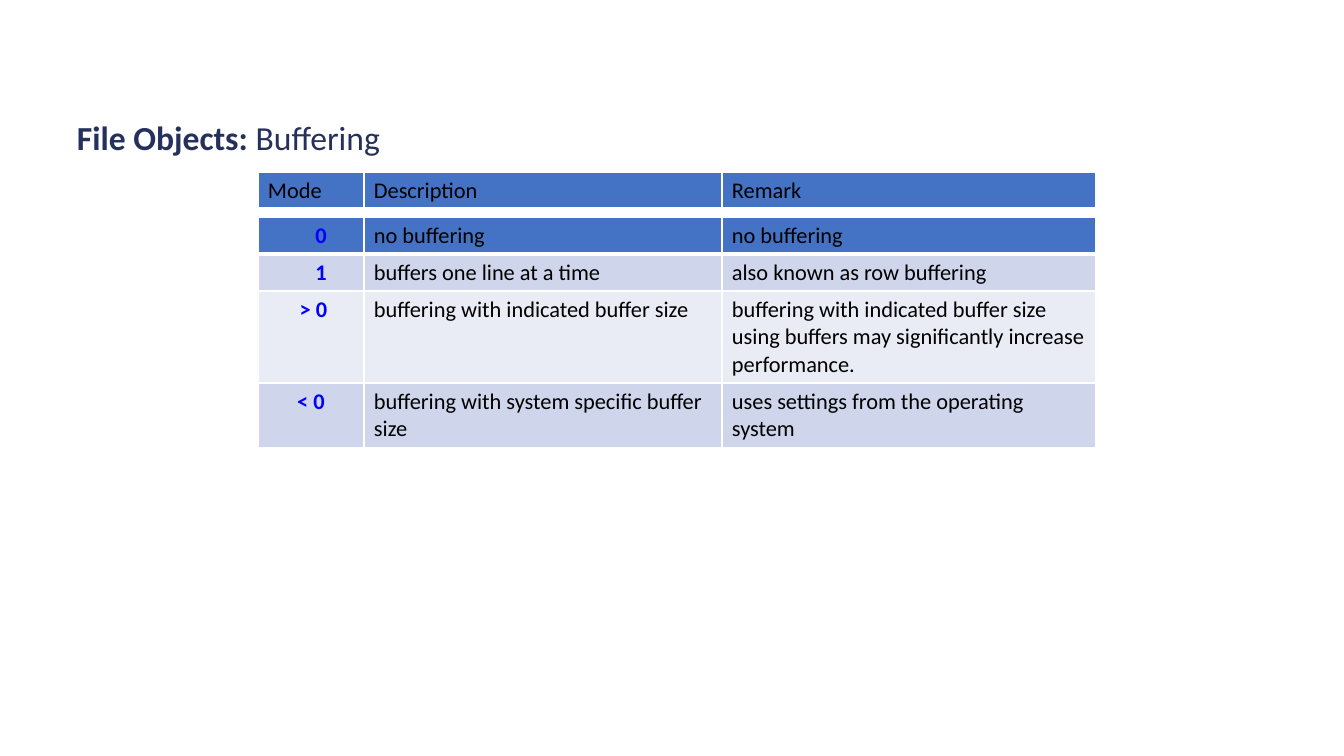
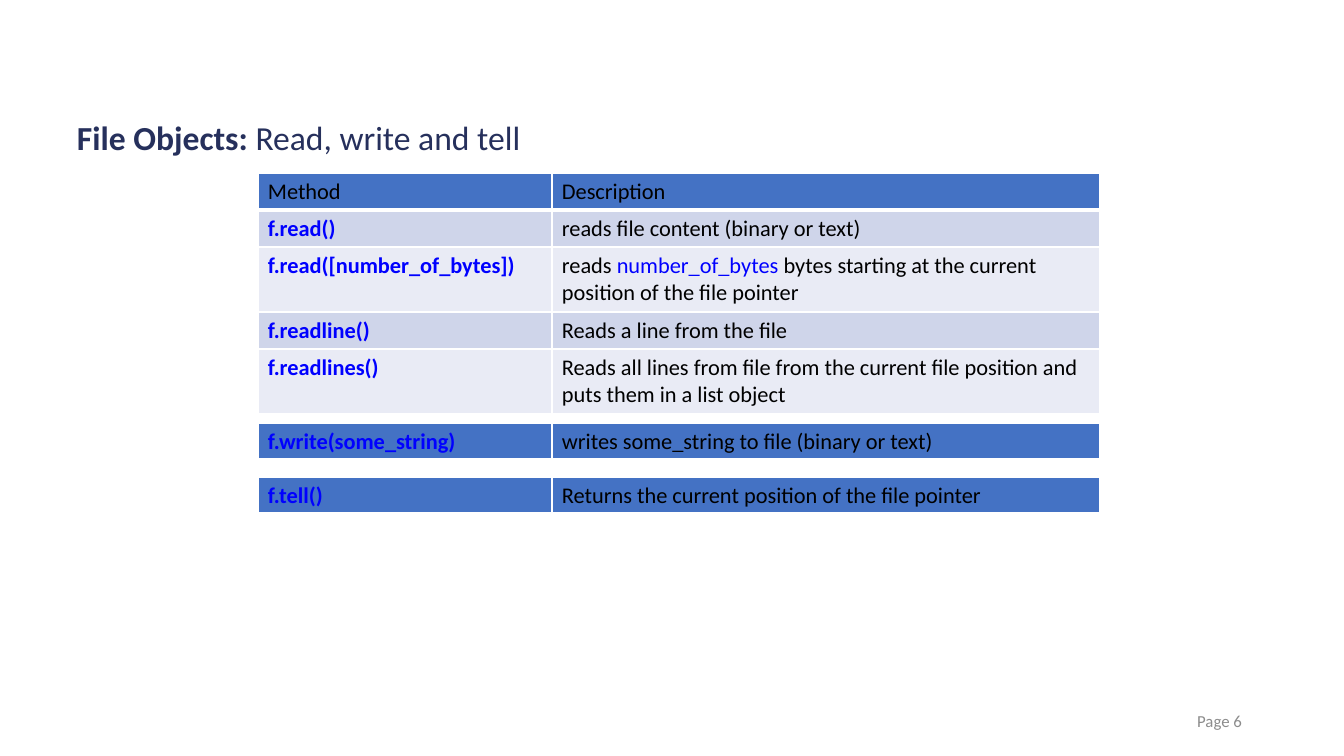
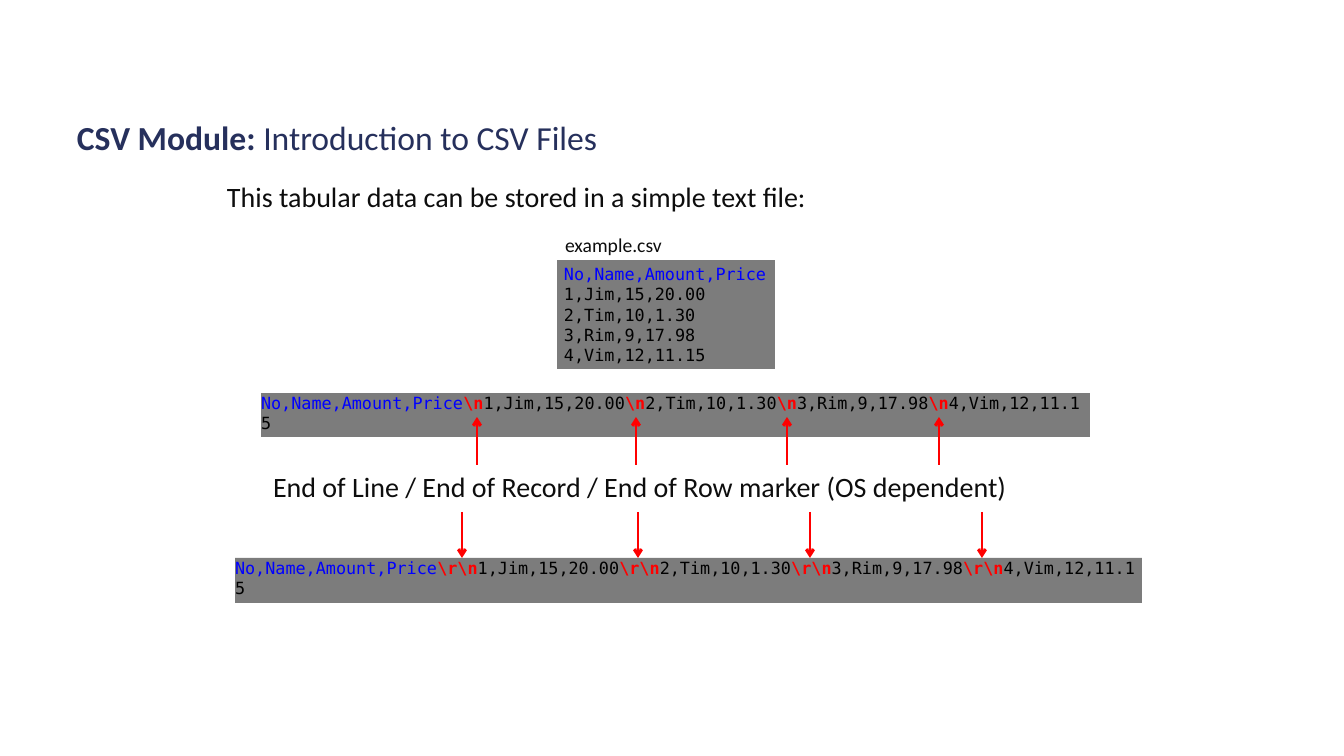
import pptx
import pptx.util
import pptx.dml.color
import pptx.enum.shapes
import pptx.enum.text
import pptx.oxml
import pptx.oxml.ns
from dataclasses import dataclass

PX = 914400 / 100.8
SLIDE_SIZE = (1344, 756)
ALIGN = pptx.enum.text.PP_ALIGN
ANCHOR = pptx.enum.text.MSO_ANCHOR


@dataclass(frozen=True)
class Theme:
    sans: str = "Calibri"
    mono: str = "DejaVu Sans Mono"
    title: str = "26305C"
    body: str = "0D0D0D"
    black: str = "000000"
    blue: str = "0000FF"
    red: str = "FF0000"
    footer: str = "8C8C8C"
    code_fill: str = "7C7C7C"
    head_fill: str = "4472C4"
    odd_fill: str = "CFD5EA"
    even_fill: str = "E9EBF5"
    border: str = "FFFFFF"
    title_size: int = 24
    lead_size: int = 20
    table_size: int = 16
    label_size: int = 14
    small_size: int = 12


THEME = Theme()

# A run is (text, colour, bold).
TITLE_BOX = (67, 116, 1210, 47)
PAGE_BOX = (950, 701, 302, 40)
TABLE_LEFT = 258
ROW_HEIGHTS = {1: 37, 2: 65, 3: 92}
CELL_MARGIN = 10

BUFFER_COLUMNS = (106, 358, 374)
BUFFER_HEADER = ("Mode", "Description", "Remark")
BUFFER_ROWS = [
    ("0", "no buffering", "no buffering"),
    ("1", "buffers one line at a time", "also known as row buffering"),
    ("> 0", "buffering with indicated buffer size",
     "buffering with indicated buffer size using buffers may significantly increase performance."),
    ("< 0", "buffering with system specific buffer size", "uses settings from the operating system"),
]
BUFFER_LINES = (1, 1, 3, 2)
MODE_SHIFTS = (20, 20, 5, 0)

METHOD_COLUMNS = (294, 548)
METHOD_HEADER = ("Method", "Description")
READ_ROWS = [
    ("f.read()", "reads file content (binary or text)"),
    ("f.read([number_of_bytes])",
     [("reads ", THEME.black, False), ("number_of_bytes", THEME.blue, False),
      (" bytes starting at the current position of the file pointer", THEME.black, False)]),
    ("f.readline()", "Reads a line from the file"),
    ("f.readlines()",
     "Reads all lines from file from the current file position and puts them in a list object"),
]
READ_LINES = (1, 1, 2, 1, 2)
WRITE_ROW = ("f.write(some_string)", "writes some_string to file (binary or text)")
TELL_ROW = ("f.tell()", "Returns the current position of the file pointer")

CSV_LINES = ("No,Name,Amount,Price", "1,Jim,15,20.00", "2,Tim,10,1.30", "3,Rim,9,17.98", "4,Vim,12,11.15")
CSV_BOX = (557, 260, 218, 109)
MARKED_STRIPS = [
    {"marker": r"\n", "box": (261, 393, 829, 44), "arrows": (477, 636, 787, 939), "from": 465, "to": 417},
    {"marker": r"\r\n", "box": (235, 558, 907, 45), "arrows": (462, 638, 810, 982), "from": 512, "to": 558},
]


def px(value):
    return pptx.util.Emu(round(value * PX))


def rgb(colour):
    return pptx.dml.color.RGBColor.from_string(colour)


def add_runs(paragraph, runs, size, font=THEME.sans):
    for text, colour, bold in runs:
        run = paragraph.add_run()
        run.text = text
        run.font.name = font
        run.font.size = pptx.util.Pt(size)
        run.font.bold = bold
        run.font.color.rgb = rgb(colour)


def fill_frame(shape, paragraphs, size, font, insets, anchor=ANCHOR.TOP, align=ALIGN.LEFT, spacing=1.0):
    frame = shape.text_frame
    frame.word_wrap = True
    frame.vertical_anchor = anchor
    frame.margin_left, frame.margin_top, frame.margin_right, frame.margin_bottom = map(px, insets)
    for index, runs in enumerate(paragraphs):
        paragraph = frame.add_paragraph() if index else frame.paragraphs[0]
        paragraph.alignment = align
        paragraph.line_spacing = spacing
        add_runs(paragraph, runs, size, font)


def add_text(slide, box, runs, size, insets=(8, 4, 8, 4), **layout):
    shape = slide.shapes.add_textbox(*map(px, box))
    fill_frame(shape, [runs], size, THEME.sans, insets, **layout)


def add_code(slide, box, paragraphs, insets):
    shape = slide.shapes.add_shape(pptx.enum.shapes.MSO_SHAPE.RECTANGLE, *map(px, box))
    shape.shadow.inherit = False
    shape.fill.solid()
    shape.fill.fore_color.rgb = rgb(THEME.code_fill)
    shape.line.fill.background()
    fill_frame(shape, paragraphs, THEME.small_size, THEME.mono, insets)


def add_arrow(slide, x, start, end):
    arrow = slide.shapes.add_connector(
        pptx.enum.shapes.MSO_CONNECTOR.STRAIGHT, px(x), px(start), px(x), px(end))
    arrow.line.color.rgb = rgb(THEME.red)
    arrow.line.width = pptx.util.Pt(2)
    line = arrow.line._get_or_add_ln()
    pptx.oxml.ns.qn("a:tailEnd")
    tail = line.makeelement(pptx.oxml.ns.qn("a:tailEnd"), {"type": "arrow"})
    line.append(tail)
    properties = arrow._element.spPr
    properties.append(properties.makeelement(pptx.oxml.ns.qn("a:effectLst"), {}))


def set_borders(cell, bottom):
    properties = cell._tc.get_or_add_tcPr()
    for side, width in (("L", 1), ("R", 1), ("T", 1), ("B", bottom)):
        properties.append(pptx.oxml.parse_xml(
            f'<a:ln{side} {pptx.oxml.ns.nsdecls("a")} w="{pptx.util.Pt(width)}">'
            f'<a:solidFill><a:srgbClr val="{THEME.border}"/></a:solidFill></a:ln{side}>'))


def add_table(slide, top, columns, rows, line_counts, has_header=False, key_shifts=None):
    """The first row is solid and the rest alternate; key_shifts centres the key column."""
    heights = [ROW_HEIGHTS[count] for count in line_counts]
    table = slide.shapes.add_table(
        len(rows), len(columns), px(TABLE_LEFT), px(top), px(sum(columns)), px(sum(heights))).table
    table.first_row = table.horz_banding = False
    for column, width in zip(table.columns, columns):
        column.width = px(width)
    for row_index, values in enumerate(rows):
        table.rows[row_index].height = px(heights[row_index])
        band = THEME.odd_fill if row_index % 2 else THEME.even_fill
        for column_index, value in enumerate(values):
            cell = table.cell(row_index, column_index)
            set_borders(cell, bottom=1 if row_index else 3)
            cell.fill.solid()
            cell.fill.fore_color.rgb = rgb(band if row_index else THEME.head_fill)
            cell.margin_left = px(CELL_MARGIN)
            paragraph = cell.text_frame.paragraphs[0]
            is_key = column_index == 0 and not (has_header and row_index == 0)
            if is_key and key_shifts:
                paragraph.alignment = ALIGN.CENTER
                cell.margin_left = px(CELL_MARGIN + key_shifts[row_index])
            if isinstance(value, str):
                value = [(value, THEME.blue if is_key else THEME.black, is_key)]
            add_runs(paragraph, value, THEME.table_size)


def add_titled_slide(presentation, topic, subject):
    slide = presentation.slides.add_slide(presentation.slide_layouts[6])
    add_text(slide, TITLE_BOX, [(topic + ": ", THEME.title, True), (subject, THEME.title, False)],
             THEME.title_size, insets=(10, 5, 10, 5), anchor=ANCHOR.MIDDLE, spacing=0.9)
    return slide


def build_buffering(presentation):
    slide = add_titled_slide(presentation, "File Objects", "Buffering")
    add_table(slide, 172, BUFFER_COLUMNS, [BUFFER_HEADER], [1], has_header=True)
    add_table(slide, 217, BUFFER_COLUMNS, BUFFER_ROWS, BUFFER_LINES, key_shifts=MODE_SHIFTS)


def build_methods(presentation):
    slide = add_titled_slide(presentation, "File Objects", "Read, write and tell")
    add_text(slide, PAGE_BOX, [("Page 6", THEME.footer, False)], THEME.small_size,
             insets=(10, 5, 10, 5), anchor=ANCHOR.MIDDLE, align=ALIGN.RIGHT)
    add_table(slide, 173, METHOD_COLUMNS, [METHOD_HEADER] + READ_ROWS, READ_LINES, has_header=True)
    for top, row in ((423, WRITE_ROW), (477, TELL_ROW)):
        add_table(slide, top, METHOD_COLUMNS, [row], [1])


def build_csv(presentation):
    slide = add_titled_slide(presentation, "CSV Module", "Introduction to CSV Files")
    add_text(slide, (219, 175, 907, 41),
             [("This tabular data can be stored in a simple text file:", THEME.body, False)], THEME.lead_size)
    add_text(slide, (557, 229, 171, 31), [("example.csv", THEME.body, False)], THEME.label_size)
    records = [(text, THEME.black if index else THEME.blue, False) for index, text in enumerate(CSV_LINES)]
    add_code(slide, CSV_BOX, [[record] for record in records], insets=(7, 4, 7, 4))
    for strip in MARKED_STRIPS:
        runs = records[:1]
        for record in records[1:]:
            runs += [(strip["marker"], THEME.red, True), record]
        add_code(slide, strip["box"], [runs], insets=(0, 0, 0, 4))
        for x in strip["arrows"]:
            add_arrow(slide, x, strip["from"], strip["to"])
    add_text(slide, (265, 465, 877, 41),
             [("End of Line / End of Record / End of Row marker (OS dependent)", THEME.body, False)],
             THEME.lead_size)


def main():
    presentation = pptx.Presentation()
    presentation.slide_width, presentation.slide_height = map(px, SLIDE_SIZE)
    for build in (build_buffering, build_methods, build_csv):
        build(presentation)
    presentation.save("out.pptx")


if __name__ == "__main__":
    main()
